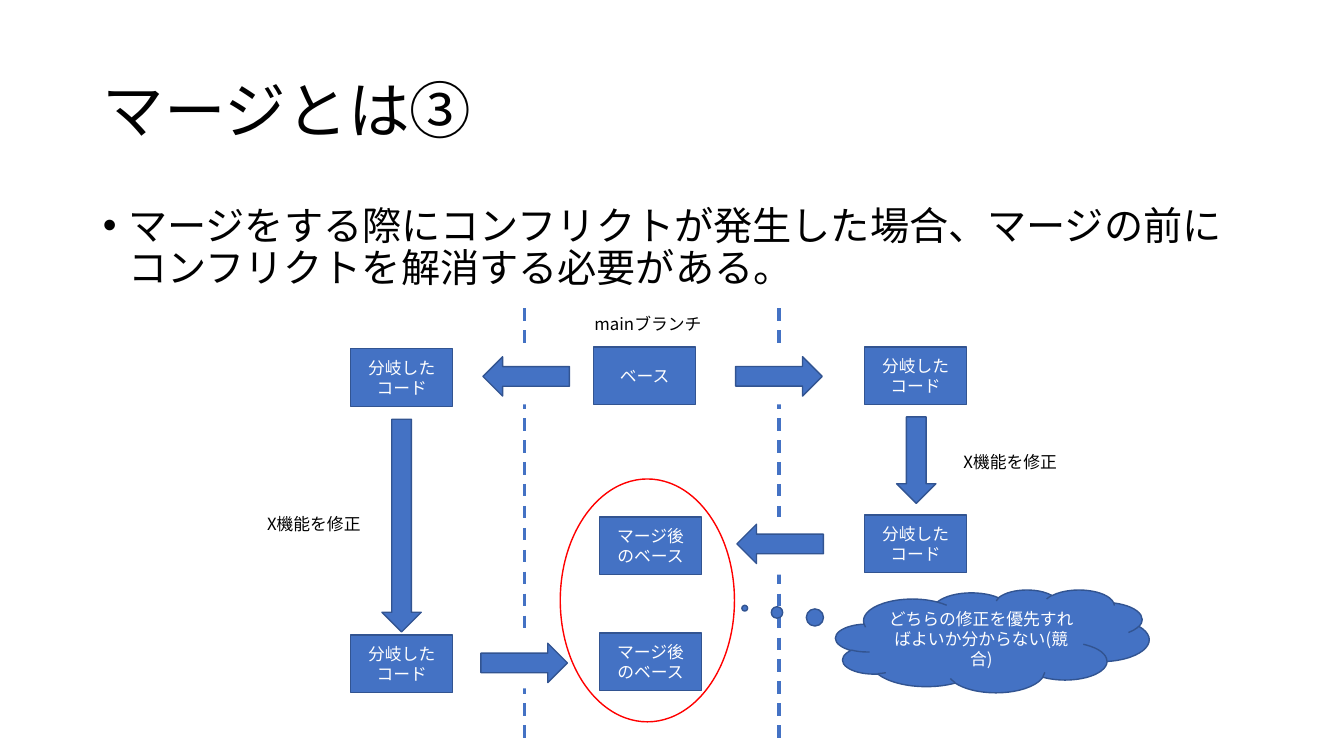
import dataclasses

import pptx
import pptx.dml.color
import pptx.enum.dml
import pptx.enum.shapes
import pptx.enum.text
import pptx.oxml
import pptx.oxml.ns
import pptx.util

Cm = pptx.util.Cm
Pt = pptx.util.Pt
MSO = pptx.enum.shapes.MSO_SHAPE
ALIGN = pptx.enum.text.PP_ALIGN
ANCHOR = pptx.enum.text.MSO_ANCHOR
AUTO = pptx.enum.text.MSO_AUTO_SIZE


@dataclasses.dataclass(frozen=True)
class Theme:
    font: str = "Noto Sans CJK JP"
    text: str = "000000"
    light: str = "FFFFFF"
    accent: str = "4472C4"
    outline: str = "325491"
    alert: str = "FF0000"
    title_size: float = 44
    body_size: float = 28
    small_size: float = 12
    thin: float = 1
    thick: float = 2.25


@dataclasses.dataclass(frozen=True)
class Label:
    text: str
    x: float
    y: float


@dataclasses.dataclass(frozen=True)
class Arrow:
    x: float
    y: float
    rotation: float = 0
    length: float = 2.18


@dataclasses.dataclass(frozen=True)
class Crossing:
    mask_x: float
    mask_y: float
    arrow: Arrow


THEME = Theme()
BOX_W, BOX_H = 2.57, 1.45
MASK_W = 2.41
ARROW_H = 0.99
LABEL_W, LABEL_H = 3.63, 0.76
LANE_TOP, LANE_BOTTOM = 7.77, 18.69
LEFT_X, MERGED_X, RIGHT_X = 8.84, 15.11, 21.79
BRANCHED, MERGED, EDITED = "分岐したコード", "マージ後のベース", "X機能を修正"

LANES = [13.21, 19.63]
CROSSINGS = [
    Crossing(18.42, 8.74, Arrow(18.54, 8.99)),
    Crossing(18.42, 13.03, Arrow(18.57, 13.21, 180)),
    Crossing(12.07, 8.74, Arrow(12.17, 8.99, 180)),
    Crossing(12.01, 15.9, Arrow(12.12, 16.21)),
]
EDIT_ARROWS = [Arrow(22, 11.1, 90), Arrow(7.44, 12.75, 90, 5.36)]
BOXES = [
    Label("ベース", 14.96, 8.74),
    Label(BRANCHED, RIGHT_X, 8.74),
    Label(BRANCHED, RIGHT_X, 12.98),
    Label(MERGED, MERGED_X, 13.03),
    Label(BRANCHED, LEFT_X, 8.79),
    Label(BRANCHED, LEFT_X, 16),
    Label(MERGED, MERGED_X, 15.95),
]
CAPTIONS = [
    Label("mainブランチ", 14.73, LANE_TOP),
    Label(EDITED, 24.03, 11.25),
    Label(EDITED, 6.48, 12.83),
]


def rgb(value: str) -> pptx.dml.color.RGBColor:
    return pptx.dml.color.RGBColor.from_string(value)


def write(tf, text: str, size: float, color: str, align=ALIGN.LEFT):
    tf.word_wrap = True
    p = tf.paragraphs[0]
    p.alignment = align
    r = p.add_run()
    r.text = text
    r.font.size = Pt(size)
    r.font.name = THEME.font
    r.font.color.rgb = rgb(color)
    ea = pptx.oxml.parse_xml(
        f'<a:ea {pptx.oxml.ns.nsdecls("a")} typeface="{THEME.font}"/>')
    r.font._element.find(pptx.oxml.ns.qn("a:latin")).addnext(ea)
    return p


def place(sp, x: float, y: float, w: float, h: float) -> None:
    sp.left, sp.top, sp.width, sp.height = Cm(x), Cm(y), Cm(w), Cm(h)


def draw_shape(shapes, kind, x: float, y: float, w: float, h: float,
               fill: str = THEME.accent, line: str = THEME.outline):
    sp = shapes.add_shape(kind, Cm(x), Cm(y), Cm(w), Cm(h))
    sp.shadow.inherit = False
    if fill:
        sp.fill.solid()
        sp.fill.fore_color.rgb = rgb(fill)
    else:
        sp.fill.background()
    if line:
        sp.line.color.rgb = rgb(line)
        sp.line.width = Pt(THEME.thin)
    else:
        sp.line.fill.background()
    return sp


def fill_text(sp, text: str) -> None:
    sp.text_frame.vertical_anchor = ANCHOR.MIDDLE
    write(sp.text_frame, text, THEME.small_size, THEME.light, ALIGN.CENTER)


def draw_arrow(shapes, arrow: Arrow) -> None:
    sp = draw_shape(shapes, MSO.RIGHT_ARROW, arrow.x, arrow.y, arrow.length, ARROW_H)
    sp.rotation = arrow.rotation


def draw_crossing(shapes, crossing: Crossing) -> None:
    group = shapes.add_group_shape()
    draw_shape(group.shapes, MSO.RECTANGLE, crossing.mask_x, crossing.mask_y,
               MASK_W, BOX_H, THEME.light, "")
    draw_arrow(group.shapes, crossing.arrow)


def draw_lane(shapes, x: float) -> None:
    line = shapes.add_connector(pptx.enum.shapes.MSO_CONNECTOR.STRAIGHT,
                                Cm(x), Cm(LANE_TOP), Cm(x), Cm(LANE_BOTTOM))
    line.line.color.rgb = rgb(THEME.accent)
    line.line.width = Pt(THEME.thick)
    line.line.dash_style = pptx.enum.dml.MSO_LINE.DASH
    line._element.spPr.append(
        pptx.oxml.parse_xml(f'<a:effectLst {pptx.oxml.ns.nsdecls("a")}/>'))


def draw_box(shapes, box: Label) -> None:
    sp = draw_shape(shapes, MSO.RECTANGLE, box.x, box.y, BOX_W, BOX_H)
    fill_text(sp, box.text)


def draw_caption(shapes, caption: Label) -> None:
    sp = shapes.add_textbox(Cm(caption.x), Cm(caption.y), Cm(LABEL_W), Cm(LABEL_H))
    write(sp.text_frame, caption.text, THEME.small_size, THEME.text)
    sp.text_frame.auto_size = AUTO.SHAPE_TO_FIT_TEXT


def draw_heading(s) -> None:
    title, body = s.shapes.title, s.placeholders[1]
    place(title, 2.34, 1.02, 29.21, 3.68)
    title.text_frame.vertical_anchor = ANCHOR.MIDDLE
    title.text_frame.auto_size = AUTO.NONE
    p = write(title.text_frame, "マージとは③", THEME.title_size, THEME.text)
    p.line_spacing = 0.9

    place(body, 2.34, 5.08, 29.21, 12.09)
    body.text_frame.auto_size = AUTO.NONE
    p = write(body.text_frame,
              "マージをする際にコンフリクトが発生した場合、マージの前にコンフリクトを解消する必要がある。",
              THEME.body_size, THEME.text)
    p.line_spacing = 0.9
    p.space_before = Pt(10)
    pPr = p._p.get_or_add_pPr()
    pPr.set("marL", str(Cm(0.64)))
    pPr.set("indent", str(-Cm(0.64)))


def main() -> None:
    prs = pptx.Presentation()
    prs.slide_width, prs.slide_height = Cm(33.87), Cm(19.05)
    s = prs.slides.add_slide(prs.slide_layouts[1])
    draw_heading(s)
    for x in LANES:
        draw_lane(s.shapes, x)
    for crossing in CROSSINGS:
        draw_crossing(s.shapes, crossing)
    for arrow in EDIT_ARROWS:
        draw_arrow(s.shapes, arrow)
    for box in BOXES:
        draw_box(s.shapes, box)
    for caption in CAPTIONS:
        draw_caption(s.shapes, caption)
    draw_shape(s.shapes, MSO.OVAL, 14.12, 12.07, 4.39, 6.12, "", THEME.alert)
    cloud = draw_shape(s.shapes, MSO.CLOUD_CALLOUT, 21.06, 14.86, 7.9, 2.59)
    cloud.adjustments[0] = -0.79
    cloud.adjustments[1] = -0.32
    fill_text(cloud, "どちらの修正を優先すればよいか分からない(競合)")
    prs.save("out.pptx")


if __name__ == "__main__":
    main()
